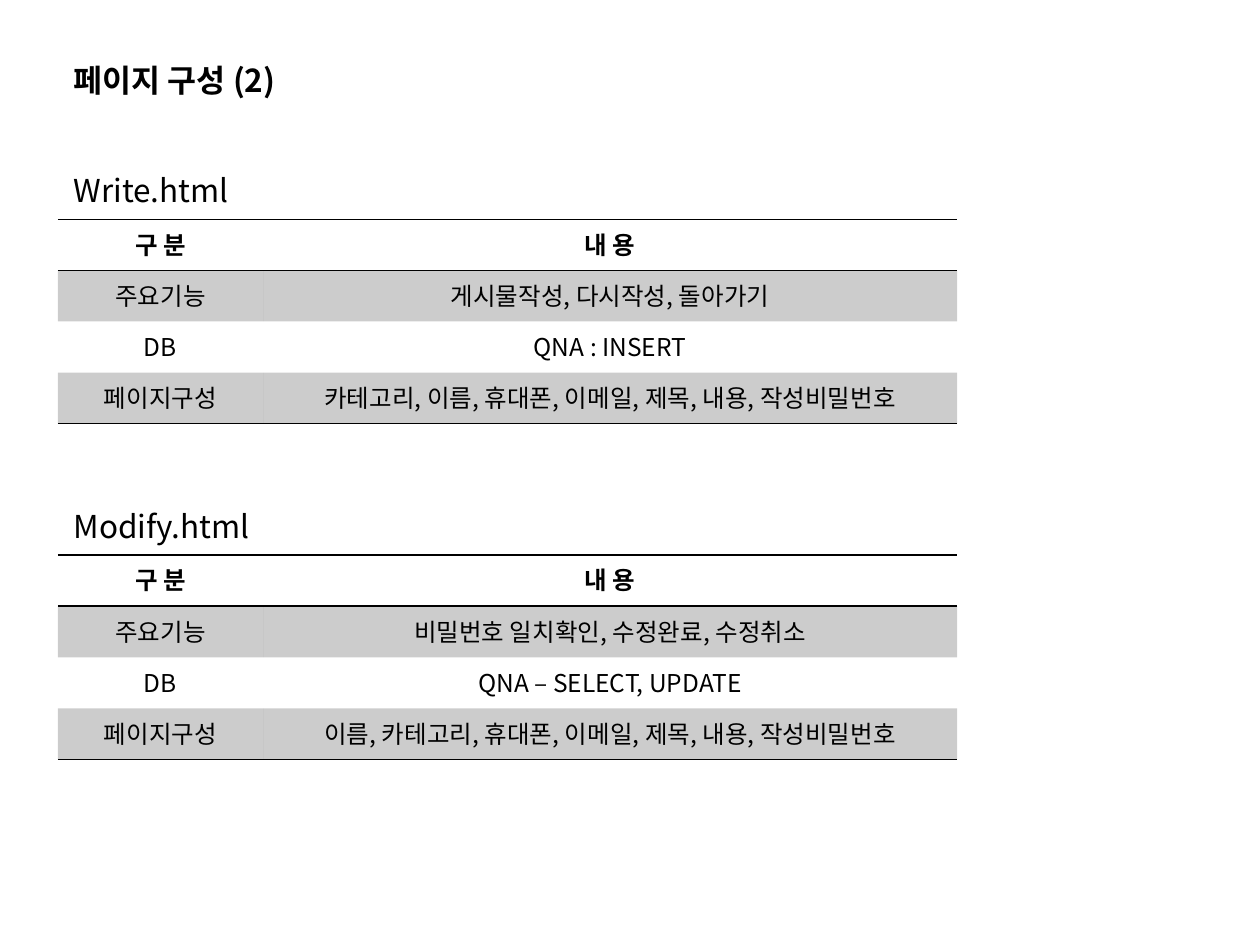
"""Build the page composition slide with its two page tables."""
from lxml import etree
from pptx import Presentation
from pptx.dml.color import RGBColor
from pptx.enum.text import MSO_ANCHOR, MSO_AUTO_SIZE, PP_ALIGN
from pptx.oxml.ns import qn
from pptx.util import Pt

LEFT, CENTER = PP_ALIGN.LEFT, PP_ALIGN.CENTER
TOP = MSO_ANCHOR.TOP
NO_FIT = MSO_AUTO_SIZE.NONE
BLACK = RGBColor(0, 0, 0)
FONT = "Noto Sans CJK KR"
TEXT_LEFT, TEXT_WIDTH, TEXT_HEIGHT = 35, 142, 28.8
ROW_HEIGHT = 29.2
COLUMN_WIDTHS = (117.2, 396.7)
HEADER = ("구 분", "내 용")
LABELS = ("주요기능", "DB", "페이지구성")
PAGES = (
    ("Write.html", 94.4, (
        "게시물작성, 다시작성, 돌아가기",
        "QNA : INSERT",
        "카테고리, 이름, 휴대폰, 이메일, 제목, 내용, 작성비밀번호")),
    ("Modify.html", 286.3, (
        "비밀번호 일치확인, 수정완료, 수정취소",
        "QNA – SELECT, UPDATE",
        "이름, 카테고리, 휴대폰, 이메일, 제목, 내용, 작성비밀번호")),
)


def write(tf, text, size=18, bold=False, align=LEFT):
    p = tf.paragraphs[0]
    p.alignment = align
    r = p.add_run()
    r.text = text
    r.font.size = Pt(size)
    r.font.bold = bold
    r.font.name = FONT
    r.font.color.rgb = BLACK
    ea = etree.SubElement(r.font._element, qn("a:ea"))
    ea.set("typeface", FONT)


def set_borders(cell, ruled):
    tcPr = cell._tc.get_or_add_tcPr()
    for side in ("L", "R", "T", "B"):
        ln = etree.SubElement(tcPr, qn("a:ln" + side), w=str(Pt(1)))
        if side in ruled:
            fill = etree.SubElement(ln, qn("a:solidFill"))
            etree.SubElement(fill, qn("a:srgbClr"), val=str(BLACK))
        else:
            etree.SubElement(ln, qn("a:noFill"))


prs = Presentation()
prs.slide_width, prs.slide_height = Pt(720), Pt(540)
s = prs.slides.add_slide(prs.slide_layouts[5])

title = s.shapes.title
title.left, title.top = Pt(TEXT_LEFT), Pt(31)
title.width, title.height = Pt(TEXT_WIDTH), Pt(TEXT_HEIGHT)
tf = title.text_frame
tf.word_wrap = False
tf.auto_size = NO_FIT
tf.vertical_anchor = TOP
write(tf, "페이지 구성 (2)", bold=True)

for name, top, contents in PAGES:
    sp = s.shapes.add_textbox(
        Pt(TEXT_LEFT), Pt(top), Pt(TEXT_WIDTH), Pt(TEXT_HEIGHT))
    sp.text_frame.word_wrap = True
    write(sp.text_frame, name)

    rows = [HEADER, *zip(LABELS, contents)]
    table = s.shapes.add_table(
        len(rows), 2, Pt(33.1), Pt(top + 30.9),
        Pt(sum(COLUMN_WIDTHS)), Pt(ROW_HEIGHT * len(rows))).table
    table.first_row = table.horz_banding = False
    for column, column_width in zip(table.columns, COLUMN_WIDTHS):
        column.width = Pt(column_width)
    for i, row in enumerate(rows):
        table.rows[i].height = Pt(ROW_HEIGHT)
        ruled = {0: "TB", 1: "T", len(rows) - 1: "B"}.get(i, "")
        for j, text in enumerate(row):
            cell = table.cell(i, j)
            write(cell.text_frame, text, size=14, bold=i == 0, align=CENTER)
            set_borders(cell, ruled)
            if i % 2:
                cell.fill.solid()
                cell.fill.fore_color.rgb = BLACK
                color = cell._tc.tcPr.find(qn("a:solidFill"))[0]
                etree.SubElement(color, qn("a:alpha"), val="20000")
            else:
                cell.fill.background()

prs.save("out.pptx")
